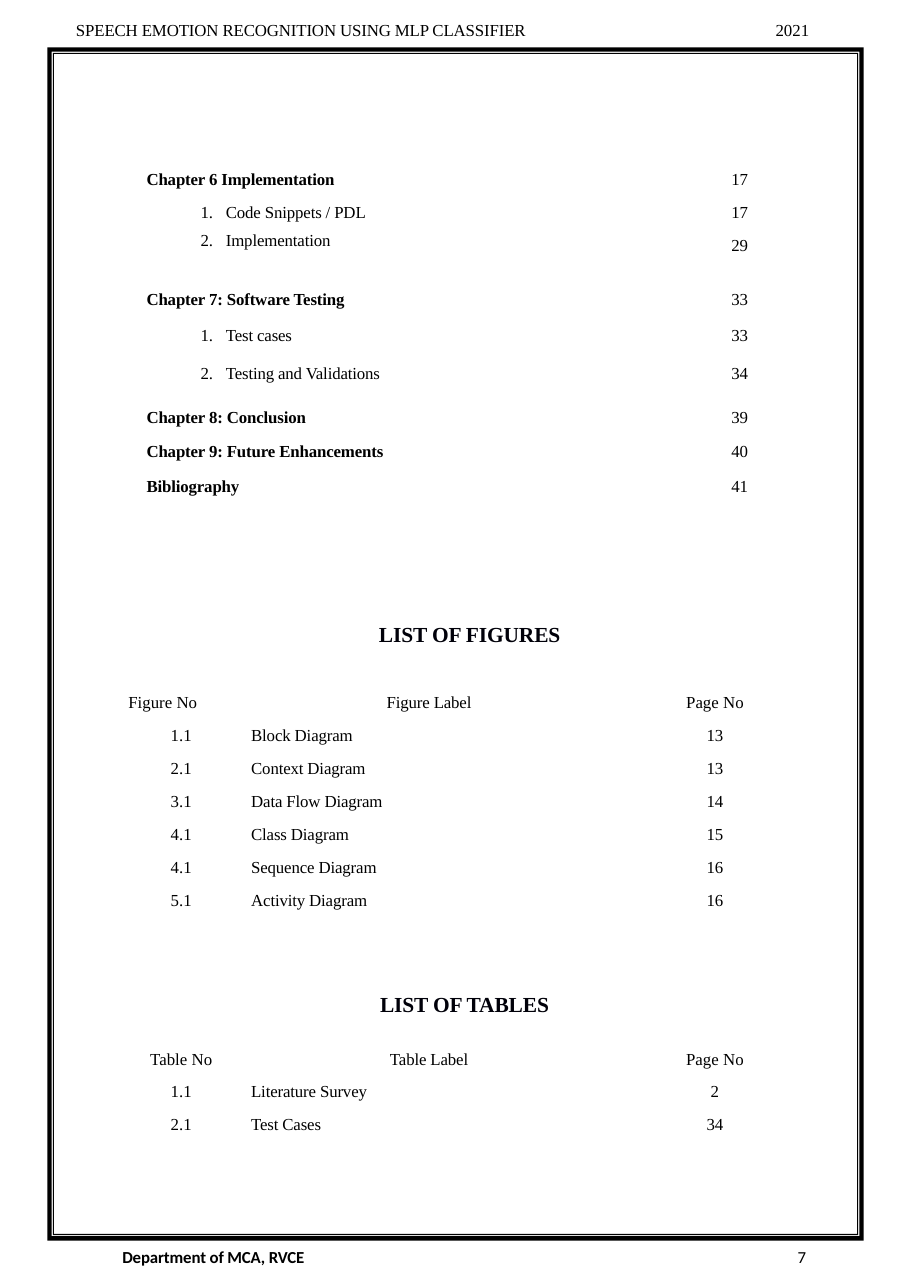
from dataclasses import dataclass

from pptx import Presentation
from pptx.dml.color import RGBColor
from pptx.enum.text import MSO_ANCHOR, MSO_AUTO_SIZE, PP_ALIGN
from pptx.oxml.ns import qn
from pptx.oxml.xmlchemy import OxmlElement
from pptx.util import Emu, Pt

EMU_PER_PX = 9144  # 100 px to the inch
COLORS = {"text": "000000", "heading": "000009", "frame": "000000"}
SERIF, SANS = "Times New Roman", "Calibri"
NO_TABLE_STYLE = "{2D5ABB26-0587-4C30-8999-92F81FD0307C}"
LEFT, CENTER, RIGHT = PP_ALIGN.LEFT, PP_ALIGN.CENTER, PP_ALIGN.RIGHT


def px(length):
    return Emu(length * EMU_PER_PX)


@dataclass
class Column:
    width: int
    align: PP_ALIGN
    head_margins: tuple  # left and right
    body_margins: tuple
    tracked: bool = False


@dataclass
class Row:
    height: int
    top_margin: int
    cells: list  # a cell with several lines holds a list
    bold: bool = False
    gaps: tuple = (0, 0, 0)  # points between the lines of each cell


class Page:
    def __init__(self, presentation):
        self.slide = presentation.slides.add_slide(presentation.slide_layouts[5])

    def format_paragraph(self, paragraph, size=11, font=SERIF, color="text",
                         bold=False, align=LEFT, tracked=False, spacing=None):
        paragraph.alignment = align
        if spacing:
            paragraph.line_spacing = Pt(spacing)
        for run in paragraph.runs:
            run.font.size = Pt(size)
            run.font.name = font
            run.font.bold = bold
            run.font.color.rgb = RGBColor.from_string(COLORS[color])
            if tracked:
                run.font._element.set("spc", "-10")

    def number(self, paragraph):
        properties = paragraph._p.get_or_add_pPr()
        properties.set("marL", str(px(72)))
        properties.set("indent", str(px(-23)))
        numbering = OxmlElement("a:buAutoNum")
        numbering.set("type", "arabicPeriod")
        properties.append(numbering)

    def fill_box(self, shape, box, text, margins=(1, 1), **style):
        shape.left, shape.top, shape.width, shape.height = map(px, box)
        frame = shape.text_frame
        frame.margin_left, frame.margin_top = map(px, margins)
        frame.margin_right = frame.margin_bottom = 0
        frame.vertical_anchor = MSO_ANCHOR.TOP
        frame.word_wrap = True
        frame.auto_size = MSO_AUTO_SIZE.SHAPE_TO_FIT_TEXT
        frame.text = text
        self.format_paragraph(frame.paragraphs[0], **style)

    def title(self, box, text, **style):
        self.fill_box(self.slide.shapes.title, box, text, **style)

    def text(self, box, text, **style):
        shape = self.slide.shapes.add_textbox(*map(px, box))
        self.fill_box(shape, box, text, **style)

    def table(self, left, top, columns, rows):
        width = sum(column.width for column in columns)
        height = sum(row.height for row in rows)
        table = self.slide.shapes.add_table(
            len(rows), len(columns), *map(px, (left, top, width, height))).table
        table.first_row = table.horz_banding = False
        table._tbl.tblPr.find(qn("a:tableStyleId")).text = NO_TABLE_STYLE
        for index, column in enumerate(columns):
            table.columns[index].width = px(column.width)
        # The first and last rows have a fixed line height
        spacings = [12.1] + [None] * (len(rows) - 2) + [12.4]
        for row_index, (row, spacing) in enumerate(zip(rows, spacings)):
            table.rows[row_index].height = px(row.height)
            for column_index, column in enumerate(columns):
                margins = column.body_margins if row_index else column.head_margins
                self.fill_cell(table.cell(row_index, column_index), margins, column,
                               row, column_index, spacing)

    def fill_cell(self, cell, margins, column, row, column_index, spacing):
        cell.fill.background()
        cell.margin_left, cell.margin_right = map(px, margins)
        cell.margin_top, cell.margin_bottom = px(row.top_margin), 0
        content = row.cells[column_index]
        several = isinstance(content, list)
        cell.text_frame.text = "\n".join(content) if several else content
        for index, paragraph in enumerate(cell.text_frame.paragraphs):
            self.format_paragraph(paragraph, align=column.align, spacing=spacing,
                                  bold=row.bold and column_index == 0,
                                  tracked=column.tracked)
            if index:
                paragraph.space_before = Pt(row.gaps[column_index])
            if several and column_index == 0:
                self.number(paragraph)

    def frame(self, left, top, right, bottom, insets):
        builder = self.slide.shapes.build_freeform(left, top, scale=EMU_PER_PX)
        for index, inset in enumerate(insets):
            x1, y1, x2, y2 = left + inset, top + inset, right - inset, bottom - inset
            corners = [(x2, y1), (x2, y2), (x1, y2)]
            if index:
                builder.move_to(x1, y1)
            # Alternate directions leave the space between the lines empty
            builder.add_line_segments(corners[::-1] if index % 2 else corners)
        shape = builder.convert_to_shape()
        shape.shadow.inherit = False
        shape.fill.solid()
        shape.fill.fore_color.rgb = RGBColor.from_string(COLORS["frame"])
        shape.line.fill.background()


def listing_rows(header, entries, header_height):
    rows = [Row(header_height, 0, header)]
    rows += [Row(30, 5, entry) for entry in entries]
    rows[-1].height = 24
    return rows


def main():
    presentation = Presentation()
    presentation.slide_width, presentation.slide_height = px(826), px(1169)
    page = Page(presentation)

    # Running header
    page.text((68, 17, 417, 21), "SPEECH EMOTION RECOGNITION USING MLP CLASSIFIER",
              tracked=True)
    page.text((703, 17, 33, 21), "2021")

    # Table of contents
    contents_columns = [Column(389, LEFT, (14, 0), (14, 0), tracked=True),
                        Column(185, RIGHT, (0, 14), (0, 14))]
    page.table(119, 155, contents_columns, [
        Row(24, 0, ["Chapter 6 Implementation", "17"], bold=True),
        Row(71, 6, [["Code Snippets / PDL", "Implementation"], ["17", "29"]],
            gaps=(5.8, 9.2)),
        Row(40, 14, ["Chapter 7: Software Testing", "33"], bold=True),
        Row(72, 6, [["Test cases", "Testing and Validations"], ["33", "34"]],
            gaps=(12.8, 12.8)),
        Row(34, 9, ["Chapter 8: Conclusion", "39"], bold=True),
        Row(31, 6, ["Chapter 9: Future Enhancements", "40"], bold=True),
        Row(24, 6, ["Bibliography", "41"], bold=True),
    ])

    # List of figures
    heading = {"size": 14, "color": "heading", "bold": True, "tracked": True}
    page.title((343, 563, 170, 26), "LIST OF FIGURES", **heading)
    figure_columns = [Column(101, RIGHT, (0, 24), (0, 29)),
                      Column(323, LEFT, (148, 0), (25, 0), tracked=True),
                      Column(163, CENTER, (83, 0), (83, 0))]
    page.table(102, 630, figure_columns, listing_rows(
        ["Figure No", "Figure Label", "Page No"],
        [["1.1", "Block Diagram", "13"],
         ["2.1", "Context Diagram", "13"],
         ["3.1", "Data Flow Diagram", "14"],
         ["4.1", "Class Diagram", "15"],
         ["4.1", "Sequence Diagram", "16"],
         ["5.1", "Activity Diagram", "16"]], header_height=24))

    # List of tables
    page.text((344, 899, 161, 26), "LIST OF TABLES", **heading)
    table_columns = [Column(89, CENTER, (0, 4), (0, 4)),
                     Column(314, LEFT, (143, 0), (17, 0), tracked=True),
                     Column(164, CENTER, (84, 0), (84, 0))]
    page.table(122, 954, table_columns, listing_rows(
        ["Table No", "Table Label", "Page No"],
        [["1.1", "Literature Survey", "2"],
         ["2.1", "Test Cases", "34"]], header_height=23))

    # Page frame: a thick outer line and a thin inner line
    page.frame(43, 43, 784, 1126, insets=(0, 4, 5, 6))

    # Footer
    footer = {"font": SANS, "spacing": 11.5}
    page.text((110, 1134, 172, 18), "Department of MCA, RVCE", margins=(1, 0),
              bold=True, tracked=True, **footer)
    page.text((720, 1134, 22, 18), "7", margins=(4, 0), **footer)

    presentation.save("out.pptx")


if __name__ == "__main__":
    main()
